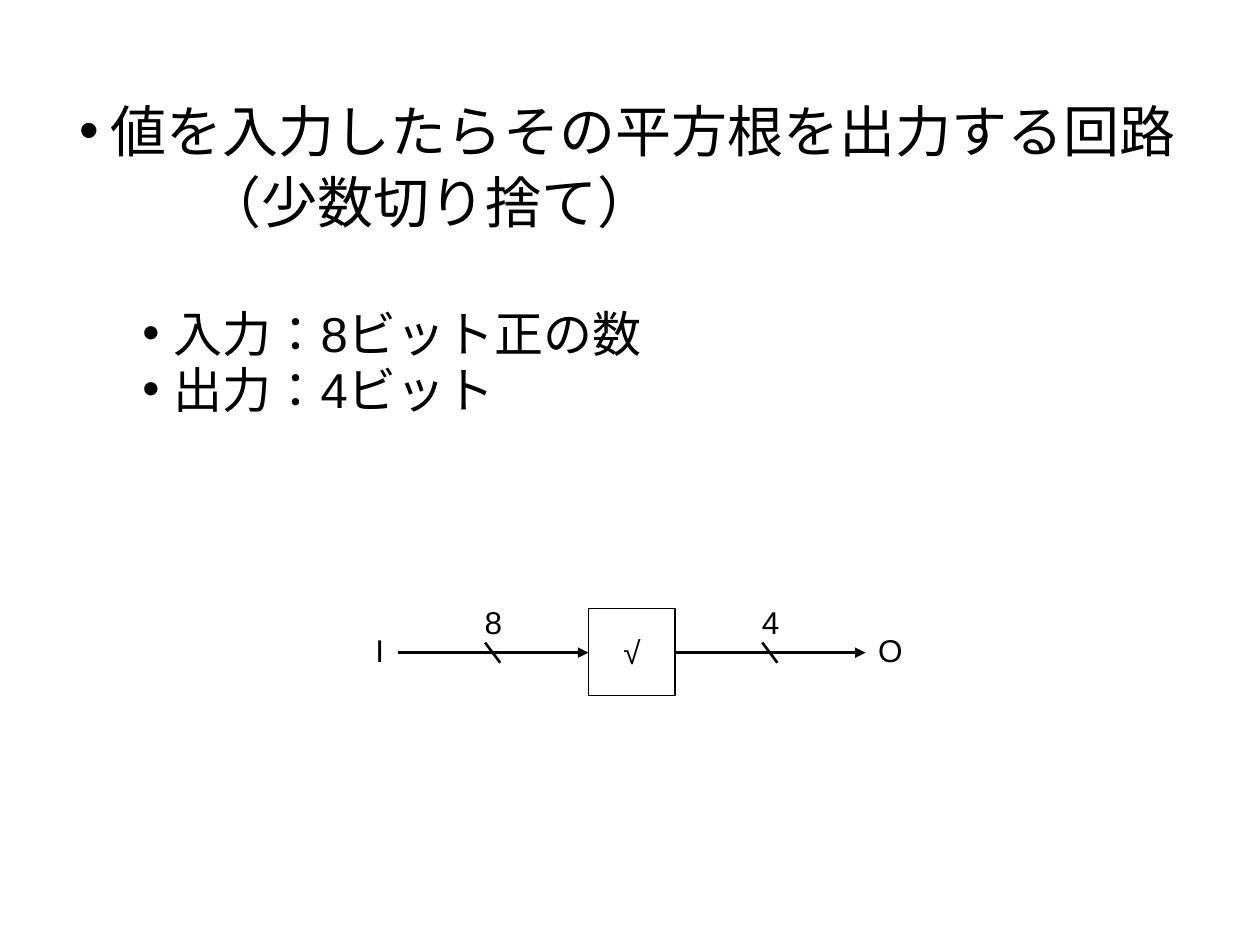
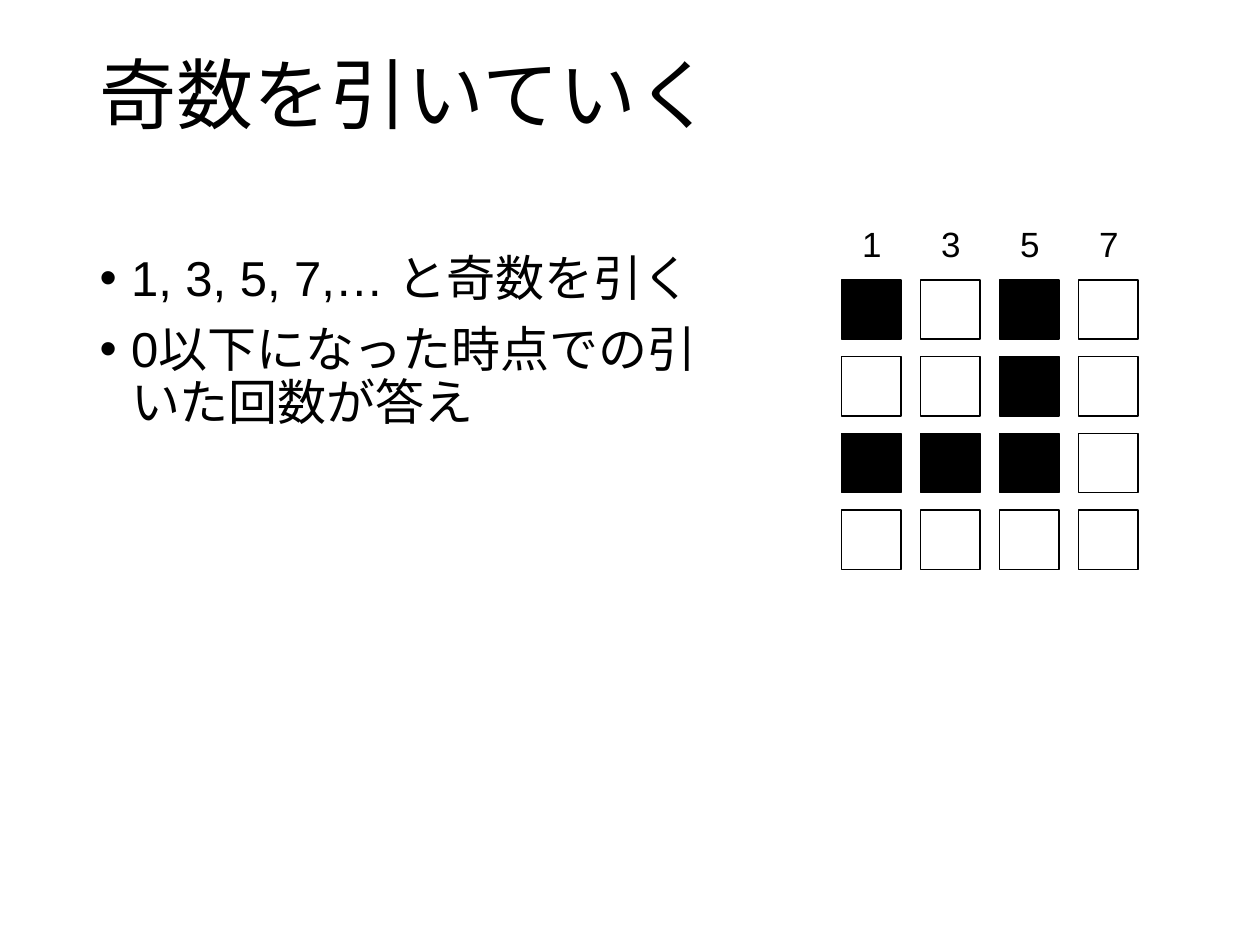
from lxml import etree
from pptx import Presentation
from pptx.dml.color import RGBColor
from pptx.enum.lang import MSO_LANGUAGE_ID as LANG
from pptx.enum.shapes import MSO_CONNECTOR as CONN, MSO_SHAPE as SHAPE
from pptx.enum.text import MSO_ANCHOR as ANCHOR, MSO_AUTO_SIZE as FIT, PP_ALIGN as ALIGN
from pptx.oxml.ns import qn
from pptx.util import Inches, Pt

COLORS = {"ink": "000000", "paper": "FFFFFF"}
INK, PAPER = (RGBColor.from_string(COLORS[name]) for name in ("ink", "paper"))
FONT = "Arial"


def write(p, text, size, margin=0, bullet=False, **formats):
    """Write one run in paragraph p, with its indent, bullet and formats."""
    for name, value in formats.items():
        setattr(p, name, value)
    r = p.add_run()
    r.text = text
    font = {"name": FONT, "size": Pt(size), "language_id": LANG.JAPANESE}
    for name, value in font.items():
        setattr(r.font, name, value)
    r.font.color.rgb = INK
    pPr = p._p.get_or_add_pPr()
    pPr.set("marL", str(Inches(margin)))
    pPr.set("indent", str(Inches(-0.25 if bullet else 0)))
    if bullet:
        etree.SubElement(pPr, qn("a:buFont")).set("typeface", FONT)
        etree.SubElement(pPr, qn("a:buChar")).set("char", "•")
    else:
        etree.SubElement(pPr, qn("a:buNone"))


def place(sp, left, top, width, height):
    """Move and size a placeholder, and return its text frame."""
    box = {"left": left, "top": top, "width": width, "height": height}
    for name, value in box.items():
        setattr(sp, name, Inches(value))
    sp.text_frame.auto_size = FIT.NONE
    return sp.text_frame


prs = Presentation()
prs.slide_width, prs.slide_height = Inches(10), Inches(7.5)
layout = prs.slide_layouts[1]

# Slide 1: what the circuit does
s = prs.slides.add_slide(layout)
title, body = s.placeholders
title._element.getparent().remove(title._element)
tf = place(body, 0.53, 0.82, 8.95, 2.73)
lines = [
    # text, size, level, margin, bullet, space before
    ("値を入力したらその平方根を出力する回路", 32, 0, 0.25, True, 10),
    ("（少数切り捨て）", 32, 0, 1, False, 10),
    ("入力：8ビット正の数", 28, 1, 0.75, True, 46),
    ("出力：4ビット", 28, 1, 0.75, True, 5),
]
for i, (text, size, level, margin, bullet, before) in enumerate(lines):
    p = tf.add_paragraph() if i else tf.paragraphs[0]
    write(p, text, size, margin, bullet, level=level, line_spacing=0.8, space_before=Pt(before))

# Block diagram: input, square root, output
diagram = s.shapes.add_group_shape().shapes
sp = diagram.add_shape(SHAPE.RECTANGLE, Inches(4.67), Inches(4.83), Inches(0.69), Inches(0.69))
sp.shadow.inherit = False
sp.fill.background()
sp.line.color.rgb = INK
sp.line.width = Pt(1)
sp.text_frame.vertical_anchor = ANCHOR.MIDDLE
write(sp.text_frame.paragraphs[0], "√", 18, alignment=ALIGN.CENTER)

wires = []
for start in (3.16, 5.36):
    wires.append((start, 5.18, start + 1.51, 5.18, True))
    wires.append((start + 0.69, 5.1, start + 0.81, 5.26, False))
for x1, y1, x2, y2, arrow in wires:
    line = diagram.add_connector(CONN.STRAIGHT, Inches(x1), Inches(y1), Inches(x2), Inches(y2))
    line.line.color.rgb = INK
    line.line.width = Pt(1.5)
    if arrow:
        etree.SubElement(line.line._get_or_add_ln(), qn("a:tailEnd")).set("type", "triangle")
    etree.SubElement(line._element.spPr, qn("a:effectLst"))

# Slide 2: the method
s = prs.slides.add_slide(layout)
title, body = s.placeholders
tf = place(title, 0.69, 0.4, 8.62, 0.77)
tf.vertical_anchor = ANCHOR.MIDDLE
write(tf.paragraphs[0], "奇数を引いていく", 44, alignment=ALIGN.LEFT, line_spacing=0.9)
tf = place(body, 0.69, 1.97, 5.2, 4.03)
for i, text in enumerate(["1, 3, 5, 7,… と奇数を引く", "0以下になった時点での引いた回数が答え"]):
    p = tf.add_paragraph() if i else tf.paragraphs[0]
    write(p, text, 28, 0.25, True, line_spacing=0.9, space_before=Pt(10))

# Grid of cells: # is black, . is white
grid = s.shapes.add_group_shape().shapes
pitch_x, pitch_y, side = 1.88 / 3, 0.61, 0.47
for row, cells in enumerate(["#.#.", "..#.", "###.", "...."]):
    for col, cell in enumerate(cells):
        sp = grid.add_shape(SHAPE.RECTANGLE, Inches(6.68 + col * pitch_x),
                            Inches(2.22 + row * pitch_y), Inches(side), Inches(side))
        sp.shadow.inherit = False
        sp.fill.solid()
        sp.fill.fore_color.rgb = INK if cell == "#" else PAPER
        sp.line.color.rgb = INK
        sp.line.width = Pt(1)

# Labels of both drawings
labels = [
    # shapes, text, size, left, top, width, height, alignment
    (diagram, "I", 18, 2.88, 4.96, 0.28, 0.43, ALIGN.LEFT),
    (diagram, "O", 18, 6.87, 4.96, 0.39, 0.43, ALIGN.LEFT),
    (diagram, "8", 18, 3.74, 4.74, 0.35, 0.43, ALIGN.CENTER),
    (diagram, "4", 18, 5.94, 4.74, 0.35, 0.43, ALIGN.CENTER),
]
for col, odd in enumerate("1357"):
    labels.append((grid, odd, 20, 6.72 + col * pitch_x, 1.72, 0.4, 0.49, ALIGN.CENTER))
for shapes, text, size, left, top, width, height, align in labels:
    sp = shapes.add_textbox(Inches(left), Inches(top), Inches(width), Inches(height))
    sp.text_frame.word_wrap = False
    write(sp.text_frame.paragraphs[0], text, size, alignment=align)

prs.save("out.pptx")
